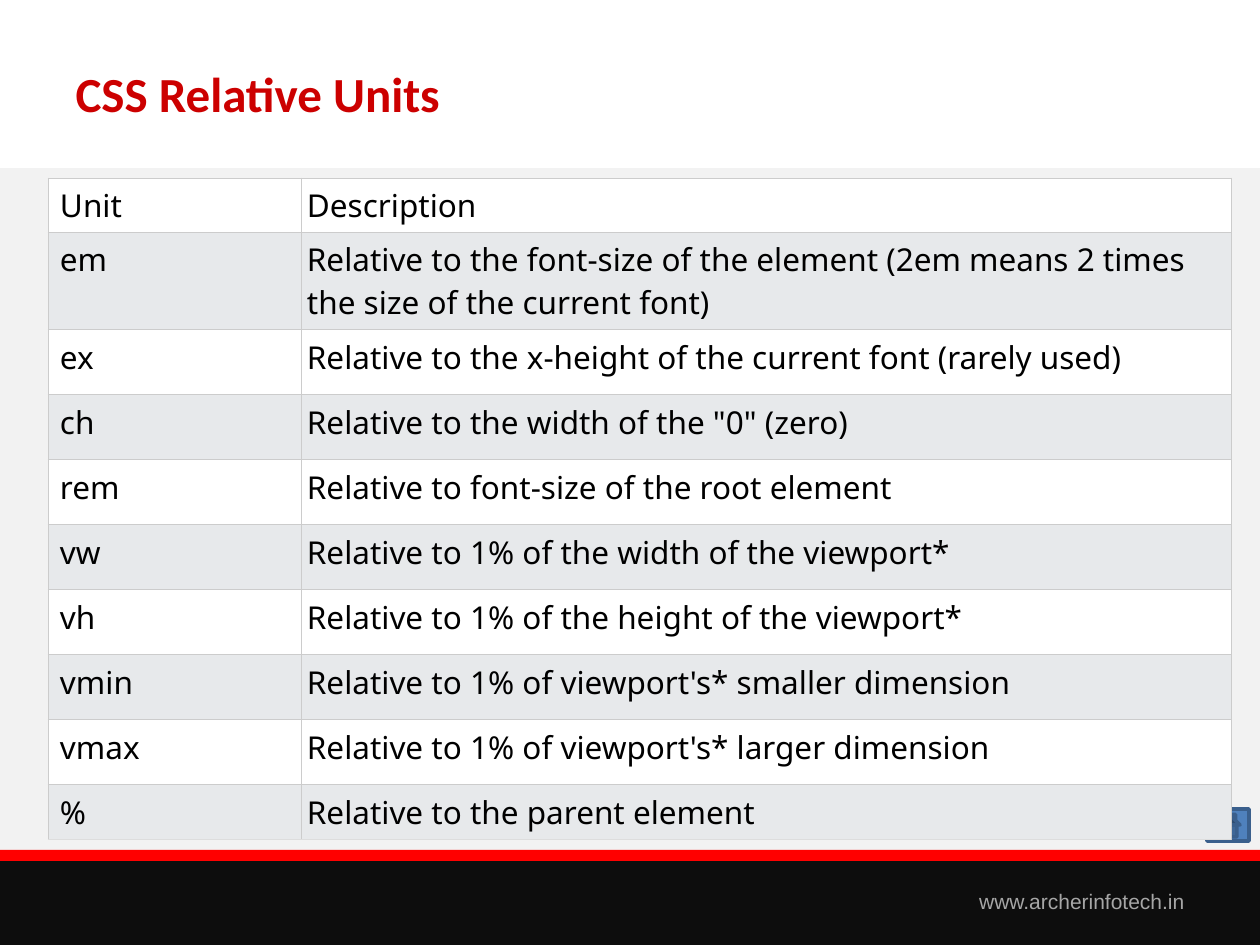
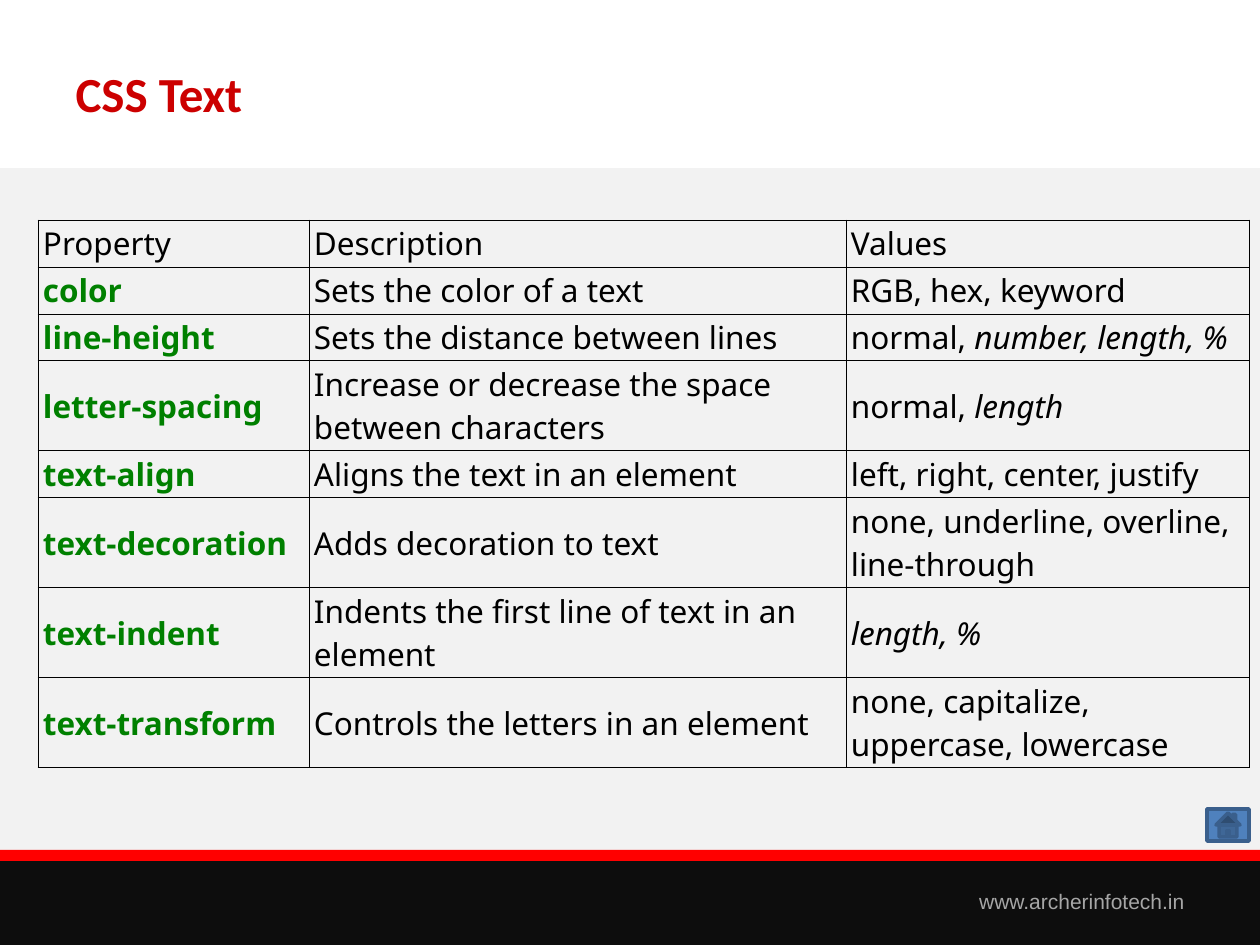
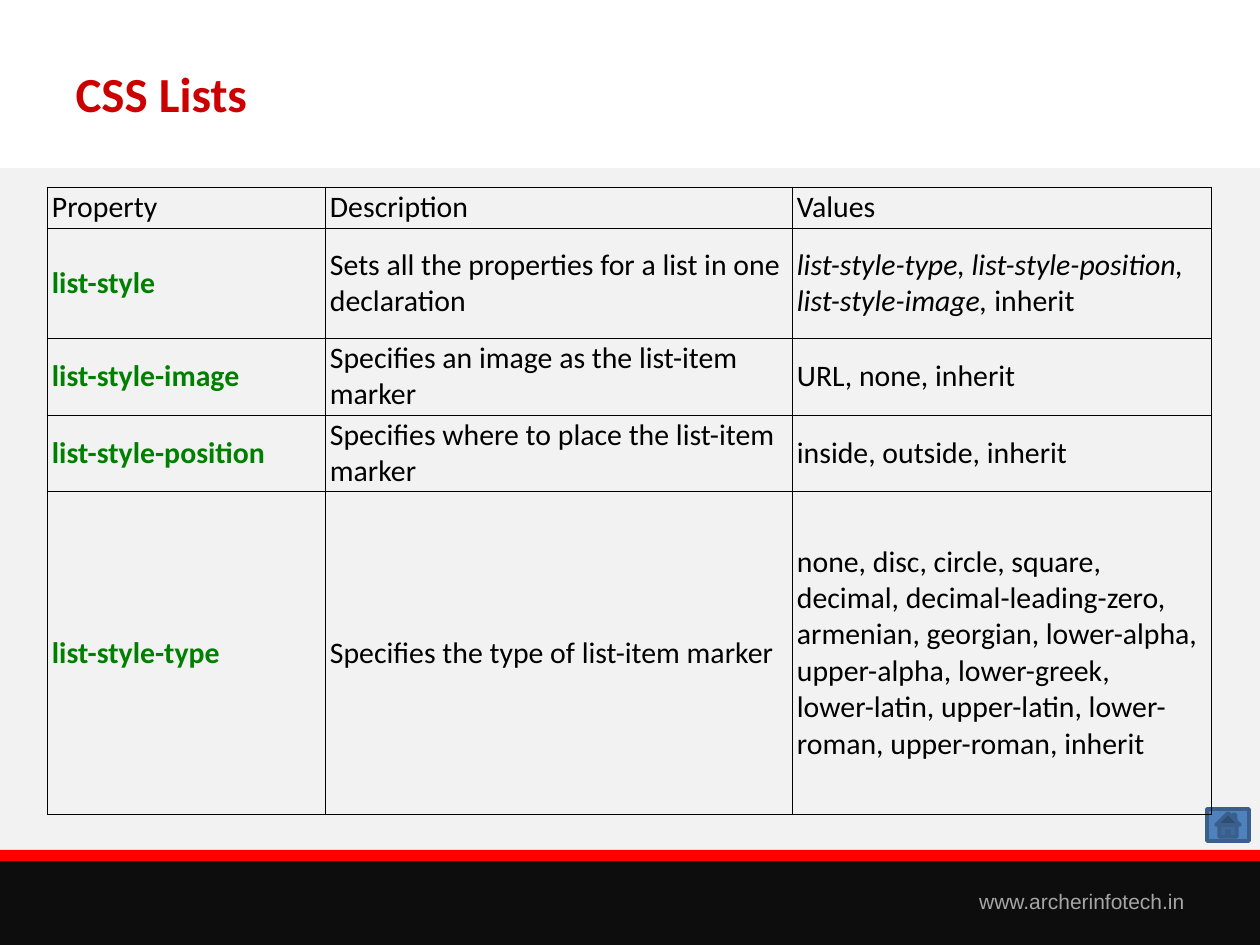
from dataclasses import dataclass

from lxml import etree
from pptx import Presentation
from pptx.dml.color import RGBColor
from pptx.enum.shapes import MSO_SHAPE
from pptx.enum.text import MSO_ANCHOR, MSO_AUTO_SIZE, PP_ALIGN
from pptx.oxml.ns import qn
from pptx.util import Emu, Pt

RECTANGLE = MSO_SHAPE.RECTANGLE
HOME_BUTTON = MSO_SHAPE.ACTION_BUTTON_HOME
TOP, MIDDLE = MSO_ANCHOR.TOP, MSO_ANCHOR.MIDDLE
LEFT, RIGHT = PP_ALIGN.LEFT, PP_ALIGN.RIGHT
NO_AUTOFIT, GROW = MSO_AUTO_SIZE.NONE, MSO_AUTO_SIZE.SHAPE_TO_FIT_TEXT

PX_PER_INCH = 126
SLIDE_WIDTH, SLIDE_HEIGHT = 1260, 945
TITLE_ONLY = 5

BLACK, GREEN, TITLE_RED = "000000", "008000", "CC0000"
BUTTON_LINE, FOOTER_GREY = "3A5F8C", "A6A6A6"
TITLE_FONT = {"name": "Calibri", "size": Pt(28), "bold": True}
FOOTER_FONT = {"name": "Arial", "size": Pt(12)}


@dataclass
class Block:
    kind: int
    left: int
    top: int
    width: int
    height: int
    fill: str
    line: str = ""


@dataclass
class TableStyle:
    font: dict
    border: str
    last_border: str
    first_inset: int
    side_inset: int
    end_inset: int
    anchor: int
    property_color: str
    property_bold: bool
    fills: tuple = ()


@dataclass
class TableSlide:
    title: str
    title_width: int
    left: int
    top: int
    columns: list
    heights: list
    style: TableStyle
    rows: list


BLOCKS = [
    Block(RECTANGLE, 0, 168, SLIDE_WIDTH, 777, "F2F2F2"),
    Block(RECTANGLE, 0, 861, SLIDE_WIDTH, 84, "0D0D0D"),
    Block(RECTANGLE, 0, 850, SLIDE_WIDTH, 11, "FF0000"),
    Block(HOME_BUTTON, 1207, 809, 42, 32, "4F81BD", BUTTON_LINE),
]

UNIT_STYLE = TableStyle(
    {"name": "Noto Sans", "size": Pt(18)}, "CCCCCC", "DDDDDD",
    12, 6, 6, TOP, BLACK, False, ("FFFFFF", "E7E9EB"))
TEXT_STYLE = TableStyle(
    {"name": "Noto Sans", "size": Pt(18)}, BLACK, BLACK,
    5, 5, 2, MIDDLE, GREEN, True)
LIST_STYLE = TableStyle(
    {"name": "Calibri", "size": Pt(17)}, BLACK, BLACK,
    5, 5, 2, MIDDLE, GREEN, True)

PROPERTY_HEADER = ("Property", "Description", "Values")

TABLE_SLIDES = [
    TableSlide(
        "CSS Relative Units", 766, 48, 178, [253, 930],
        [54, 98] + [65] * 7 + [55], UNIT_STYLE,
        [
            ("Unit", "Description"),
            ("em", "Relative to the font-size of the element "
                   "(2em means 2 times the size of the current font)"),
            ("ex", "Relative to the x-height of the current font (rarely used)"),
            ("ch", 'Relative to the width of the "0" (zero)'),
            ("rem", "Relative to font-size of the root element"),
            ("vw", "Relative to 1% of the width of the viewport*"),
            ("vh", "Relative to 1% of the height of the viewport*"),
            ("vmin", "Relative to 1% of viewport's* smaller dimension"),
            ("vmax", "Relative to 1% of viewport's* larger dimension"),
            ("%", "Relative to the parent element"),
        ]),
    TableSlide(
        "CSS Text", 766, 38, 220, [271, 537, 403],
        [47, 47, 47, 90, 47, 90, 90, 90], TEXT_STYLE,
        [
            PROPERTY_HEADER,
            ("color", "Sets the color of a text", "RGB, hex, keyword"),
            ("line-height", "Sets the distance between lines",
             "normal, _number, length, %_"),
            ("letter-spacing", "Increase or decrease the space between characters",
             "normal, _length_"),
            ("text-align", "Aligns the text in an element",
             "left, right, center, justify"),
            ("text-decoration", "Adds decoration to text",
             "none, underline, overline, line-through"),
            ("text-indent", "Indents the first line of text in an element",
             "_length, %_"),
            ("text-transform", "Controls the letters in an element",
             "none, capitalize, uppercase, lowercase"),
        ]),
    TableSlide(
        "CSS Lists", 882, 47, 187, [278, 467, 420],
        [41, 110, 77, 76, 324], LIST_STYLE,
        [
            PROPERTY_HEADER,
            ("list-style", "Sets all the properties for a list in one declaration",
             "_list-style-type, list-style-position, list-style-image, _inherit"),
            ("list-style-image", "Specifies an image as the list-item marker",
             "URL, none, inherit"),
            ("list-style-position",
             "Specifies where to place the list-item marker",
             "inside, outside, inherit"),
            ("list-style-type", "Specifies the type of list-item marker",
             "none, disc, circle, square, decimal, decimal-leading-zero,\n"
             "armenian, georgian, lower-alpha, upper-alpha, lower-greek,\n"
             "lower-latin, upper-latin, lower-roman, upper-roman, inherit"),
        ]),
]


def px(length: int) -> Emu:
    return Emu(round(length * 914400 / PX_PER_INCH))


def color(value: str) -> RGBColor:
    return RGBColor.from_string(value)


def apply_format(target, values: dict) -> None:
    for name, value in values.items():
        setattr(target, name, value)


def format_font(font, values: dict, font_color: str) -> None:
    apply_format(font, values)
    font.color.rgb = color(font_color)


def add_block(slide, block: Block) -> None:
    shape = slide.shapes.add_shape(
        block.kind, *map(px, (block.left, block.top, block.width, block.height)))
    shape.shadow.inherit = False
    shape.fill.solid()
    shape.fill.fore_color.rgb = color(block.fill)
    if block.line:
        shape.line.color.rgb = color(block.line)
        shape.line.width = Pt(2)
    else:
        shape.line.fill.background()


def add_footer(slide) -> None:
    box = slide.shapes.add_textbox(*map(px, (693, 882, 504, 38)))
    apply_format(box.text_frame, {"word_wrap": True, "auto_size": GROW})
    paragraph = box.text_frame.paragraphs[0]
    paragraph.alignment = RIGHT
    run = paragraph.add_run()
    run.text = "www.archerinfotech.in"
    format_font(run.font, FOOTER_FONT, FOOTER_GREY)


def set_title(slide, text: str, width: int) -> None:
    title = slide.shapes.title
    apply_format(title, {"left": px(63), "top": px(38),
                         "width": px(width), "height": px(110)})
    frame = title.text_frame
    frame.text = text
    apply_format(frame, {"vertical_anchor": MIDDLE, "word_wrap": True,
                         "auto_size": NO_AUTOFIT})
    paragraph = frame.paragraphs[0]
    paragraph.alignment = LEFT
    format_font(paragraph.runs[0].font, TITLE_FONT, TITLE_RED)


def set_borders(cell, border: str, bottom: str) -> None:
    properties = cell._tc.get_or_add_tcPr()
    sides = {"a:lnL": border, "a:lnR": border, "a:lnT": border, "a:lnB": bottom}
    for tag, value in sides.items():
        line = etree.SubElement(properties, qn(tag), w=str(Pt(0.6)))
        fill = etree.SubElement(line, qn("a:solidFill"))
        etree.SubElement(fill, qn("a:srgbClr"), val=value)


def write_text(paragraph, text: str, values: dict, font_color: str) -> None:
    for part_index, part in enumerate(text.split("_")):
        for line_index, line in enumerate(part.split("\n")):
            if line_index:
                paragraph.add_line_break()
            if line:
                run = paragraph.add_run()
                run.text = line
                italic = {"italic": part_index % 2 == 1}
                format_font(run.font, values | italic, font_color)


def fill_cell(cell, text: str, style: TableStyle, row: int, column: int,
              is_last: bool) -> None:
    apply_format(cell, {
        "margin_left": px(style.side_inset if column else style.first_inset),
        "margin_right": px(style.side_inset),
        "margin_top": px(style.end_inset),
        "margin_bottom": px(style.end_inset),
        "vertical_anchor": style.anchor,
    })
    set_borders(cell, style.border, style.last_border if is_last else style.border)
    if style.fills:
        cell.fill.solid()
        cell.fill.fore_color.rgb = color(style.fills[row % len(style.fills)])
    else:
        cell.fill.background()
    is_property = row > 0 and column == 0
    values = style.font | {"bold": is_property and style.property_bold}
    font_color = style.property_color if is_property else BLACK
    write_text(cell.text_frame.paragraphs[0], text, values, font_color)


def add_table(slide, content: TableSlide) -> None:
    frame = slide.shapes.add_table(
        len(content.rows), len(content.columns), px(content.left),
        px(content.top), px(sum(content.columns)), px(sum(content.heights)))
    table = frame.table
    apply_format(table, {"first_row": False, "horz_banding": False})
    for column, width in zip(table.columns, content.columns):
        column.width = px(width)
    for row, height in zip(table.rows, content.heights):
        row.height = px(height)
    for row_index, texts in enumerate(content.rows):
        is_last = row_index == len(content.rows) - 1
        for column_index, text in enumerate(texts):
            fill_cell(table.cell(row_index, column_index), text, content.style,
                      row_index, column_index, is_last)


def add_table_slide(presentation, content: TableSlide) -> None:
    slide = presentation.slides.add_slide(presentation.slide_layouts[TITLE_ONLY])
    set_title(slide, content.title, content.title_width)
    for block in BLOCKS:
        add_block(slide, block)
    add_footer(slide)
    add_table(slide, content)


def main() -> None:
    presentation = Presentation()
    presentation.slide_width = px(SLIDE_WIDTH)
    presentation.slide_height = px(SLIDE_HEIGHT)
    for content in TABLE_SLIDES:
        add_table_slide(presentation, content)
    presentation.save("out.pptx")


if __name__ == "__main__":
    main()
